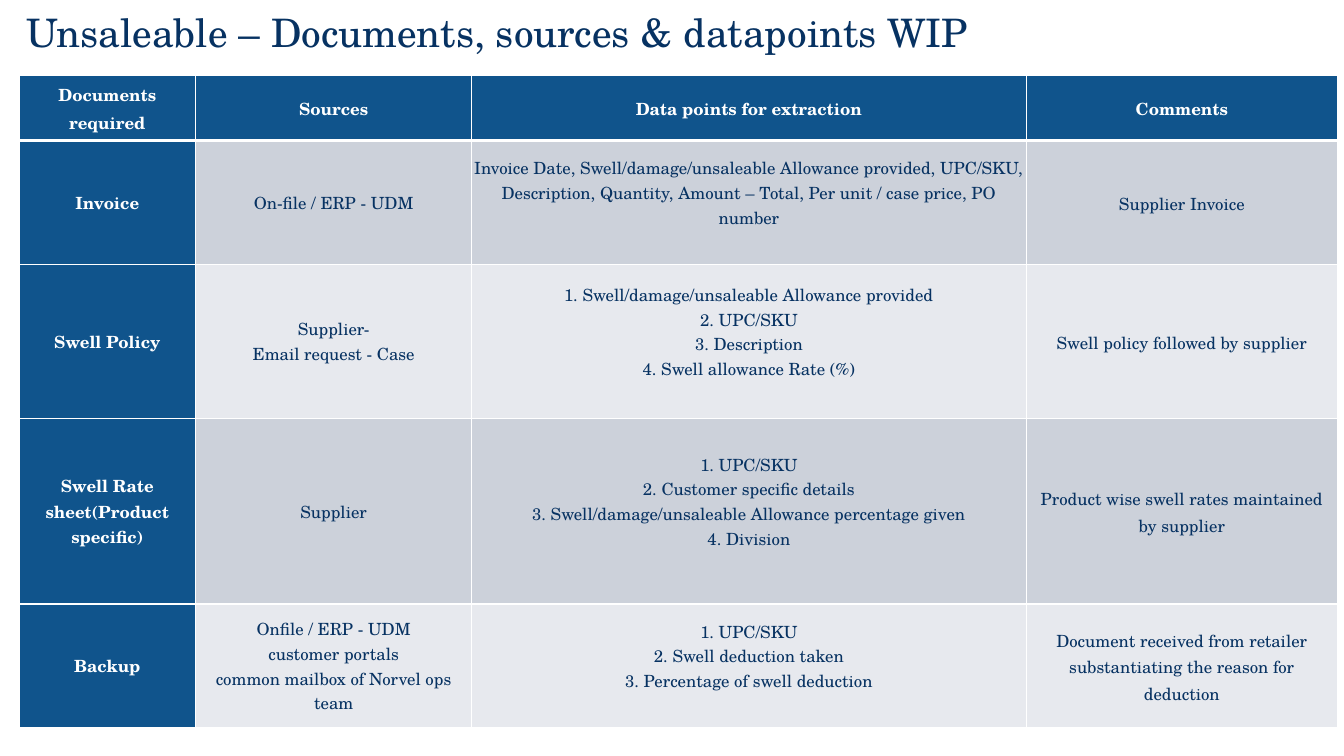
from dataclasses import dataclass

from lxml.etree import SubElement
from pptx import Presentation
from pptx.dml.color import RGBColor
from pptx.enum.text import MSO_ANCHOR, MSO_AUTO_SIZE, PP_ALIGN
from pptx.oxml.ns import qn
from pptx.slide import Slide
from pptx.table import _Cell
from pptx.text.text import _Paragraph
from pptx.util import Cm, Pt

FONT = "TeX Gyre Schola"
COLOURS = {
    "navy": "073262",
    "blue": "10548C",
    "band_dark": "CCD1DA",
    "band_light": "E7E9EE",
    "white": "FFFFFF",
}
COLUMN_WIDTHS = (4.45, 6.96, 13.97, 7.85)
HEADER_HEIGHT = 1.63
HEADINGS = ("Documents required", "Sources", "Data points for extraction", "Comments")


@dataclass(frozen=True)
class DocumentRow:
    """One required document with its sources, data points and comment."""

    height: float
    name: str
    sources: tuple[str, ...]
    data_points: tuple[str, ...]
    comment: str


@dataclass(frozen=True)
class CellStyle:
    """Look of a table cell, with margins in centimetres."""

    fill: str
    colour: str
    bold: bool = False
    side: float = 0.03
    bottom: float = 0
    spacing: float = 1.0
    rule: float = 1


DOCUMENTS = (
    DocumentRow(
        3.12,
        "Invoice",
        ("On-file / ERP - UDM",),
        (
            "Invoice Date, Swell/damage/unsaleable Allowance provided, UPC/SKU, "
            "Description, Quantity, Amount – Total, Per unit / case price, PO number",
        ),
        "Supplier Invoice",
    ),
    DocumentRow(
        3.89,
        "Swell Policy",
        ("Supplier-", "Email request - Case"),
        (
            "1. Swell/damage/unsaleable Allowance provided",
            "2. UPC/SKU",
            "3. Description",
            "4. Swell allowance Rate (%)",
        ),
        "Swell policy followed by supplier",
    ),
    DocumentRow(
        4.67,
        "Swell Rate sheet(Product specific)",
        ("Supplier",),
        (
            "1. UPC/SKU",
            "2. Customer specific details",
            "3. Swell/damage/unsaleable Allowance percentage given",
            "4. Division",
        ),
        "Product wise swell rates maintained by supplier",
    ),
    DocumentRow(
        3.12,
        "Backup",
        ("Onfile / ERP - UDM", "customer portals", "common mailbox of Norvel ops team"),
        ("1. UPC/SKU", "2. Swell deduction taken", "3. Percentage of swell deduction"),
        "Document received from retailer substantiating the reason for deduction",
    ),
)


def add_span(para: _Paragraph, text: str, size: float, colour: str, bold: bool) -> None:
    """Add one formatted run to a paragraph."""
    span = para.add_run()
    span.text = text
    span.font.name = FONT
    span.font.size = Pt(size)
    span.font.bold = bold
    span.font.color.rgb = RGBColor.from_string(COLOURS[colour])


def add_borders(cell: _Cell, bottom_width: float) -> None:
    """Give a cell thin white borders and a bottom rule of the given width."""
    properties = cell._tc.get_or_add_tcPr()
    for side, width in (("L", 1), ("R", 1), ("T", 1), ("B", bottom_width)):
        line = SubElement(properties, qn(f"a:ln{side}"), w=str(Pt(width)))
        fill = SubElement(line, qn("a:solidFill"))
        SubElement(fill, qn("a:srgbClr"), val=COLOURS["white"])


def fill_cell(cell: _Cell, lines: tuple[str, ...], style: CellStyle) -> None:
    """Format a cell and write its lines as centred paragraphs."""
    add_borders(cell, style.rule)
    cell.fill.solid()
    cell.fill.fore_color.rgb = RGBColor.from_string(COLOURS[style.fill])
    cell.vertical_anchor = MSO_ANCHOR.MIDDLE
    cell.margin_left = cell.margin_right = Cm(style.side)
    cell.margin_top = Cm(0)
    cell.margin_bottom = Cm(style.bottom)
    frame = cell.text_frame
    for index, text in enumerate(lines):
        para = frame.add_paragraph() if index else frame.paragraphs[0]
        para.alignment = PP_ALIGN.CENTER
        para.line_spacing = style.spacing
        add_span(para, text, 12, style.colour, style.bold)


def add_title(page: Slide, text: str) -> None:
    """Place and write the slide title."""
    box = page.shapes.title
    box.left, box.top, box.width, box.height = Cm(0.41), Cm(0.18), Cm(29.21), Cm(1.07)
    frame = box.text_frame
    frame.auto_size = MSO_AUTO_SIZE.NONE
    frame.word_wrap = True
    frame.vertical_anchor = MSO_ANCHOR.TOP
    frame.margin_left = frame.margin_right = Cm(0.25)
    frame.margin_top = frame.margin_bottom = Cm(0.04)
    para = frame.paragraphs[0]
    para.alignment = PP_ALIGN.LEFT
    add_span(para, text, 28, "navy", False)


def add_document_table(page: Slide) -> None:
    """Build the table of documents, sources, data points and comments."""
    heights = (HEADER_HEIGHT, *(document.height for document in DOCUMENTS))
    table = page.shapes.add_table(
        len(heights), len(COLUMN_WIDTHS),
        Cm(0.48), Cm(1.91), Cm(sum(COLUMN_WIDTHS)), Cm(sum(heights)),
    ).table
    for column, width in zip(table.columns, COLUMN_WIDTHS):
        column.width = Cm(width)
    for row, height in zip(table.rows, heights):
        row.height = Cm(height)

    header = CellStyle("blue", "white", bold=True, side=0.13, spacing=1.07, rule=3)
    for column, heading in enumerate(HEADINGS):
        fill_cell(table.cell(0, column), (heading,), header)

    for row, document in enumerate(DOCUMENTS, start=1):
        band = "band_dark" if row % 2 else "band_light"
        contents = (
            ((document.name,), CellStyle("blue", "white", bold=True)),
            (document.sources, CellStyle(band, "navy")),
            (document.data_points, CellStyle(band, "navy", bottom=0.5)),
            ((document.comment,), CellStyle(band, "navy", side=0.13, spacing=1.07)),
        )
        for column, (lines, style) in enumerate(contents):
            fill_cell(table.cell(row, column), lines, style)


def main() -> None:
    """Build and save the deck."""
    deck = Presentation()
    deck.slide_width, deck.slide_height = Cm(33.87), Cm(19.05)
    page = deck.slides.add_slide(deck.slide_layouts[5])
    add_title(page, "Unsaleable – Documents, sources & datapoints WIP")
    add_document_table(page)
    deck.save("out.pptx")


if __name__ == "__main__":
    main()
